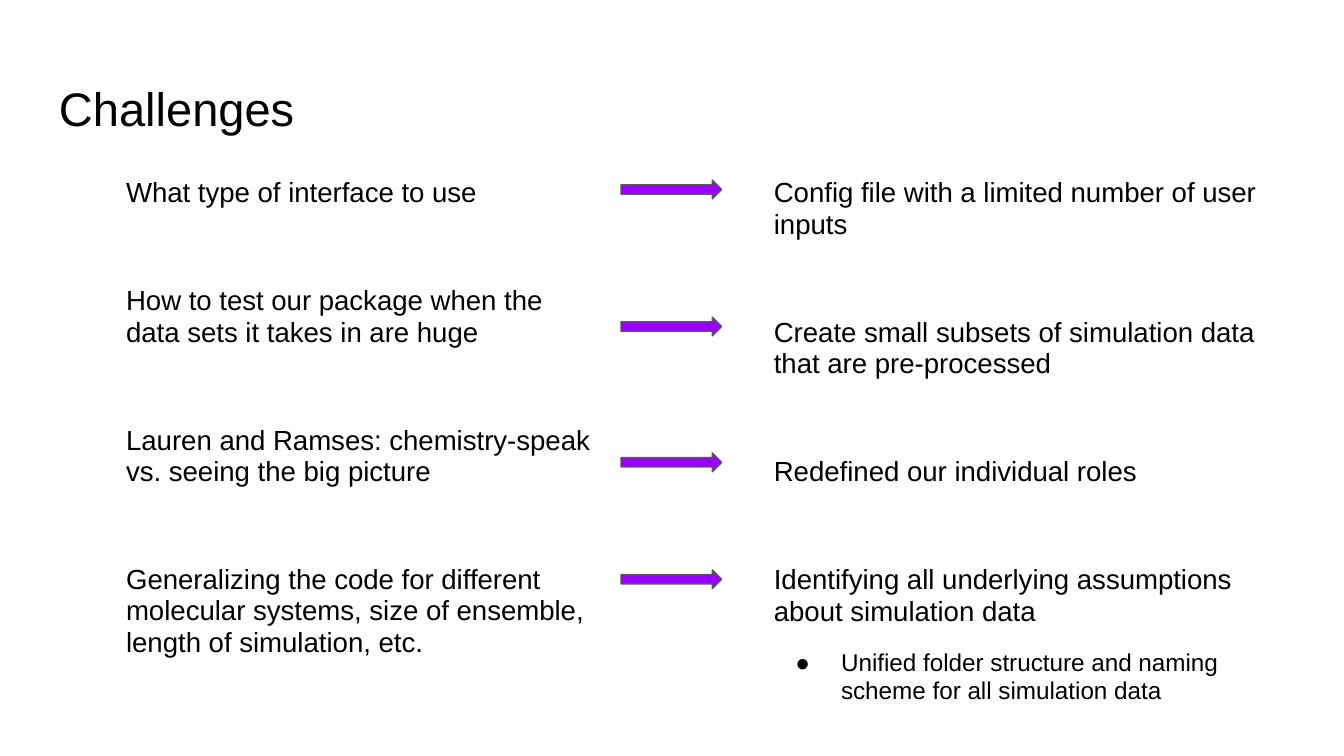
from lxml import etree
from pptx import Presentation
from pptx.dml.color import RGBColor
from pptx.enum import shapes, text
from pptx.oxml import ns
from pptx.util import Inches, Pt

BLACK = RGBColor(0x00, 0x00, 0x00)
PURPLE = RGBColor(0x99, 0x00, 0xFF)
GRAY = RGBColor(0x59, 0x59, 0x59)

FONT = {"name": "Arial"}
TITLE_SIZE, BODY_SIZE, BULLET_SIZE = Pt(25.2), Pt(14.8), Pt(13)
ITEM_FORMAT = {"line_spacing": 0.95, "space_before": Pt(41)}
BULLET_FORMAT = {"line_spacing": 0.95, "space_before": Pt(12)}

CHALLENGES = [
    "What type of interface to use",
    "How to test our package when the data sets it takes in are huge",
    "Lauren and Ramses: chemistry-speak vs. seeing the big picture",
    "Generalizing the code for different molecular systems, size of ensemble, "
    "length of simulation, etc.",
]
SOLUTIONS = [
    "Config file with a limited number of user inputs",
    "Create small subsets of simulation data that are pre-processed",
    "Redefined our individual roles",
    "Identifying all underlying assumptions about simulation data",
]
SOLUTION_DETAIL = "Unified folder structure and naming scheme for all simulation data"
ARROW_TOPS = [0, 1.02, 2.03, 2.9]


def set_attributes(target, values):
    for name, value in values.items():
        setattr(target, name, value)


def add_text_frame(slide, box, anchor):
    frame = slide.shapes.add_textbox(*map(Inches, box)).text_frame
    margins = ("margin_left", "margin_top", "margin_right", "margin_bottom")
    set_attributes(frame, dict.fromkeys(margins, Inches(0.1)))
    set_attributes(frame, {"word_wrap": True, "vertical_anchor": anchor})
    return frame


def write_paragraph(paragraph, content, size, paragraph_format):
    set_attributes(paragraph, paragraph_format)
    run = paragraph.add_run()
    run.text = content
    set_attributes(run.font, {**FONT, "size": size})
    run.font.color.rgb = BLACK


def set_indent(paragraph, left, first=0.0):
    properties = paragraph._p.get_or_add_pPr()
    properties.set("marL", str(Inches(left)))
    properties.set("indent", str(Inches(first)))
    return properties


def add_title(slide, box, content):
    frame = add_text_frame(slide, box, text.MSO_ANCHOR.MIDDLE)
    write_paragraph(frame.paragraphs[0], content, TITLE_SIZE, {})


def add_column(slide, box, items, indent=0.0):
    frame = add_text_frame(slide, box, text.MSO_ANCHOR.TOP)
    for index, item in enumerate(items):
        paragraph = frame.add_paragraph() if index else frame.paragraphs[0]
        write_paragraph(paragraph, item, BODY_SIZE, ITEM_FORMAT)
        set_indent(paragraph, indent)
    frame.paragraphs[0].space_before = Pt(0)
    return frame


def add_bullet(frame, content):
    paragraph = frame.add_paragraph()
    write_paragraph(paragraph, content, BULLET_SIZE, BULLET_FORMAT)
    properties = set_indent(paragraph, 0.5, -0.34)
    etree.SubElement(properties, ns.qn("a:buFont")).set("typeface", FONT["name"])
    etree.SubElement(properties, ns.qn("a:buChar")).set("char", "●")


def add_arrows(slide, box, tops):
    left, top, width, height = box
    for offset in tops:
        arrow = slide.shapes.add_shape(
            shapes.MSO_SHAPE.RIGHT_ARROW,
            *map(Inches, (left, top + offset, width, height)))
        arrow.shadow.inherit = False
        arrow.fill.solid()
        arrow.fill.fore_color.rgb = PURPLE
        arrow.line.color.rgb = GRAY
        arrow.line.width = Pt(0.75)


def main():
    presentation = Presentation()
    # Widescreen, 16:9
    presentation.slide_width = Inches(10)
    presentation.slide_height = Inches(10) * 9 // 16
    slide = presentation.slides.add_slide(presentation.slide_layouts[6])

    # Title
    add_title(slide, (0.34, 0.49, 9.32, 0.63), "Challenges")

    # Challenges on the left, solutions on the right
    add_column(slide, (0.34, 1.22, 4.16, 3.96), CHALLENGES, indent=0.5)
    solutions = add_column(slide, (5.66, 1.22, 3.93, 4.19), SOLUTIONS)
    add_bullet(solutions, SOLUTION_DETAIL)

    # Arrows from each challenge to its solution
    add_arrows(slide, (4.62, 1.34, 0.75, 0.14), ARROW_TOPS)

    presentation.save("out.pptx")


if __name__ == "__main__":
    main()
